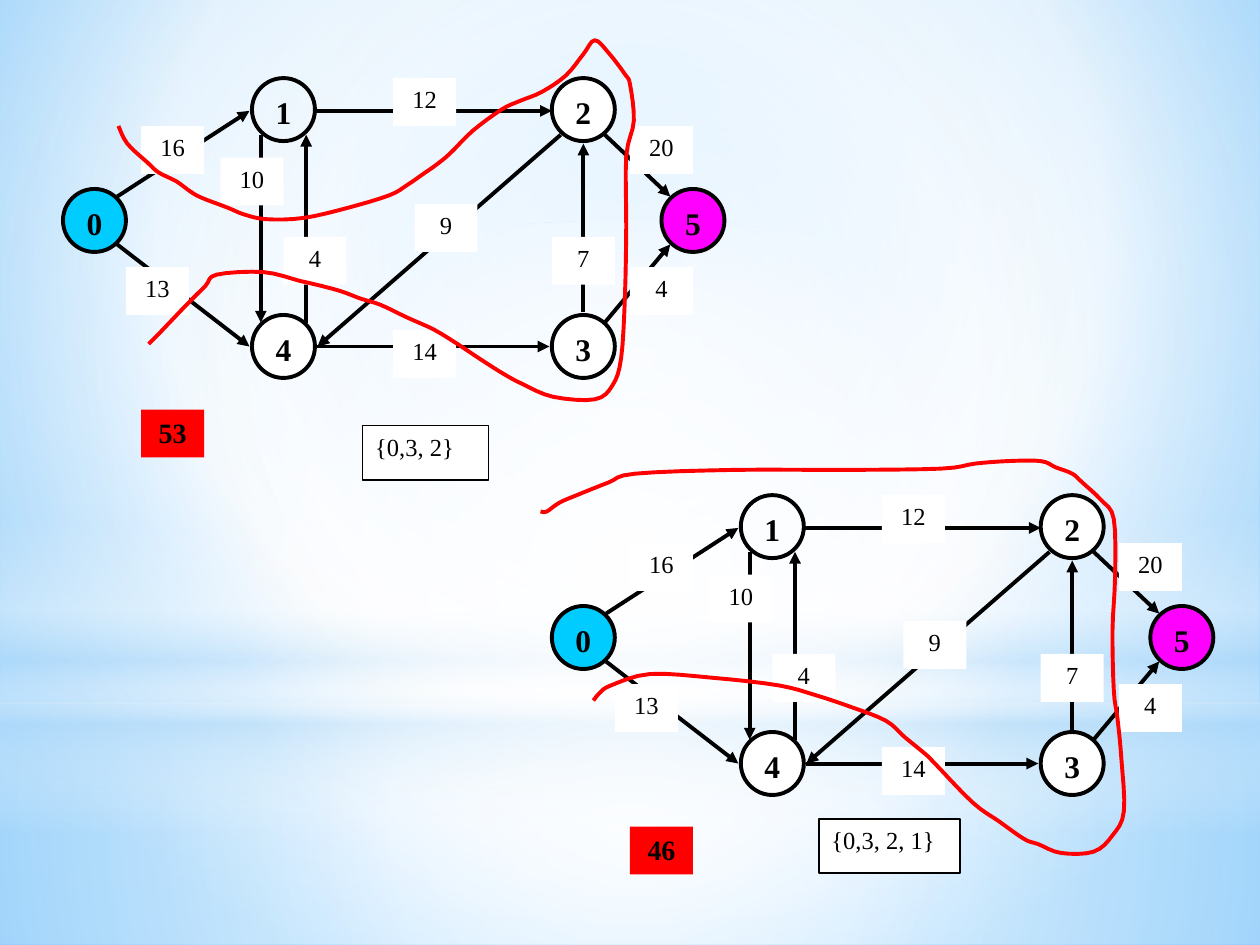
from lxml import etree
from pptx import Presentation
from pptx.dml.color import RGBColor
from pptx.enum import shapes, text
from pptx.oxml import parse_xml
from pptx.oxml.ns import nsdecls, qn
from pptx.util import Inches, Pt

COLORS = {"ink": "000000", "paper": "FFFFFF", "source": "00CCFF", "sink": "FF00FF",
          "cut": "FF0000", "sky": "B4DCFA", "sky_mid": "9ED5FF", "sky_edge": "5BB9FF"}
FORMATS = {"node": {"size": Pt(18), "bold": True},
           "label": {"size": Pt(14), "bold": False},
           "total": {"size": Pt(16), "bold": True}}
OVAL, RECT = shapes.MSO_SHAPE.OVAL, shapes.MSO_SHAPE.RECTANGLE
CENTER, LEFT = text.PP_ALIGN.CENTER, text.PP_ALIGN.LEFT

# Positions are relative to a graph's own origin.
NODES = [("1", 2, 0.62, None), ("4", 2, 2.5, "paper"), ("3", 4.38, 2.5, "paper"),
         ("2", 4.38, 0.62, "paper"), ("0", 0.5, 1.5, "source"), ("5", 5.25, 1.5, "sink")]
EDGES = [(2.5, 0.88, 4.38, 0.88), (2.52, 2.75, 4.36, 2.75), (0.93, 1.56, 1.98, 0.88),
         (0.93, 1.94, 1.98, 2.75), (2.07, 1.07, 2.07, 2.56), (2.43, 2.56, 2.43, 1.07),
         (4.45, 1.07, 2.52, 2.75), (4.63, 2.48, 4.63, 1.14), (4.8, 1.07, 5.32, 1.56),
         (4.8, 2.56, 5.32, 1.94)]
CAPACITIES = [("16", 1.12, 1), ("12", 3.12, 0.62), ("14", 3.12, 2.62), ("13", 1, 2.12),
              ("9", 3.29, 1.62), ("4", 2.25, 1.88), ("10", 1.75, 1.25), ("4", 5, 2.12),
              ("7", 4.38, 1.88), ("20", 5, 1)]

# Cut curves, in slide inches.
CUT_53 = [(0.94, 1), (1.01, 1.14), (1.17, 1.29), (1.26, 1.37), (1.4, 1.44), (1.51, 1.52),
          (1.6, 1.57), (1.81, 1.65), (1.93, 1.7), (2.11, 1.74), (2.41, 1.73), (2.76, 1.65),
          (3.09, 1.55), (3.23, 1.47), (3.36, 1.38), (3.46, 1.31), (3.57, 1.22), (3.75, 1.04),
          (3.98, 0.87), (4.13, 0.8), (4.3, 0.73), (4.49, 0.6), (4.63, 0.43), (4.72, 0.32),
          (4.83, 0.42), (4.96, 0.59), (5, 0.67), (5.03, 0.96), (4.97, 1.24), (4.97, 1.8),
          (4.96, 2.34), (4.93, 2.84), (4.86, 3.06), (4.72, 3.17), (4.39, 3.15), (4.15, 3.05),
          (4, 2.97), (3.81, 2.85), (3.66, 2.75), (3.45, 2.62), (3.23, 2.52), (3.02, 2.42),
          (2.86, 2.37), (2.7, 2.31), (2.47, 2.25), (2.38, 2.23), (2.09, 2.16), (1.72, 2.18),
          (1.63, 2.27), (1.48, 2.42), (1.27, 2.64), (1.18, 2.73)]
CUT_46 = [(4.71, 5.56), (4.76, 5.5), (4.85, 5.44), (5.16, 5.35), (5.66, 5.38), (6.18, 5.44),
          (6.48, 5.52), (6.75, 5.61), (7.03, 5.72), (7.18, 5.85), (7.35, 5.99), (7.42, 6.06),
          (7.72, 6.37), (7.93, 6.52), (8.13, 6.66), (8.24, 6.7), (8.42, 6.77), (8.68, 6.76),
          (8.83, 6.63), (8.92, 6.44), (8.9, 6.02), (8.87, 5.71), (8.84, 5.48), (8.83, 5),
          (8.85, 4.58), (8.84, 4.12), (8.74, 3.97), (8.59, 3.83), (8.51, 3.76), (8.38, 3.71),
          (8.26, 3.66), (8, 3.66), (7.74, 3.68), (7.47, 3.72), (6.7, 3.73), (5.83, 3.73),
          (5.04, 3.76), (4.83, 3.83), (4.58, 3.93), (4.44, 3.99), (4.34, 4.06), (4.29, 4.06)]


def rgb(name):
    return RGBColor.from_string(COLORS[name])


def gradient(stops, center=None):
    """Gradient of (position, colour, opacity); round about center, else top to bottom."""
    marks = "".join(
        f'<a:gs pos="{pos * 1000}"><a:srgbClr val="{COLORS[color]}">'
        f'<a:alpha val="{alpha * 1000}"/></a:srgbClr></a:gs>' for pos, color, alpha in stops)
    if center:
        sides = " ".join(f'{k}="{v * 1000}"' for k, v in zip("ltrb", center))
        way = f'<a:path path="circle"><a:fillToRect {sides}/></a:path>'
    else:
        way = '<a:lin ang="5400000" scaled="0"/>'
    return parse_xml(f'<a:gradFill {nsdecls("a")} rotWithShape="1">'
                     f'<a:gsLst>{marks}</a:gsLst>{way}</a:gradFill>')


def smooth(points, steps=4):
    """Points of a Catmull-Rom curve through the given points."""
    padded = [points[0], *points, points[-1]]
    for a, b, c, d in zip(padded, padded[1:], padded[2:], padded[3:]):
        for t in (i / steps for i in range(1, steps + 1)):
            yield tuple((2 * q + (r - p) * t + (2 * p - 5 * q + 4 * r - s) * t ** 2
                         + (3 * q - p - 3 * r + s) * t ** 3) / 2
                        for p, q, r, s in zip(a, b, c, d))


class Board:
    """The slide, its drawing style and the shapes being added to."""

    def __init__(self, slide, font="Times New Roman", width=2.25):
        self.slide, self.font, self.width = slide, font, width
        self.shapes = slide.shapes

    def background(self, stops, center):
        self.slide.background.fill.solid()
        solid = self.slide._element.cSld.find(".//" + qn("a:solidFill"))
        solid.getparent().replace(solid, gradient(stops, center))

    def stroke(self, line, color="ink", width=None):
        line.color.rgb = rgb(color)
        line.width = Pt(width or self.width)

    def shape(self, kind, x, y, w, h, fill=None, line=None):
        sp = self.shapes.add_shape(kind, *map(Inches, (x, y, w, h)))
        sp.shadow.inherit = False
        if fill:
            sp.fill.solid()
            sp.fill.fore_color.rgb = rgb(fill)
        else:
            sp.fill.background()
        if line:
            self.stroke(sp.line, width=line)
        else:
            sp.line.fill.background()
        return sp

    def glow(self, kind, box, stops, center=None):
        sp = self.shape(kind, *box)
        old = sp._element.spPr.find(qn("a:noFill"))
        sp._element.spPr.replace(old, gradient(stops, center))

    def put_text(self, sp, words, style, align=CENTER):
        tf = sp.text_frame
        tf.vertical_anchor = text.MSO_ANCHOR.TOP
        p = tf.paragraphs[0]
        p.alignment = align
        r = p.add_run()
        r.text = words
        for key, value in {"name": self.font, **FORMATS[style]}.items():
            setattr(r.font, key, value)
        r.font.color.rgb = rgb("ink")

    def node(self, name, x, y, fill):
        self.put_text(self.shape(OVAL, x, y, 0.5, 0.5, fill, self.width), name, "node")

    def label(self, words, x, y, fill="paper", style="label"):
        self.put_text(self.shape(RECT, x, y, 0.5, 0.38, fill), words, style)

    def set_box(self, words, x, y, w):
        self.put_text(self.shape(RECT, x, y, w, 0.43, "paper", 0.75), words, "label", LEFT)

    def arrow(self, *ends):
        c = self.shapes.add_connector(shapes.MSO_CONNECTOR.STRAIGHT, *map(Inches, ends))
        self.stroke(c.line)
        sppr = c._element.spPr
        etree.SubElement(sppr.get_or_add_ln(), qn("a:tailEnd"), type="triangle")
        etree.SubElement(sppr, qn("a:effectLst"))

    def curve(self, points):
        fb = self.shapes.build_freeform(*map(Inches, points[0]))
        fb.add_line_segments([(Inches(x), Inches(y)) for x, y in smooth(points)], close=False)
        sp = fb.convert_to_shape()
        sp.shadow.inherit = False
        sp.fill.background()
        self.stroke(sp.line, "cut")

    def graph(self, dx, dy, total, members, member_box, cut):
        self.shapes = self.slide.shapes.add_group_shape().shapes
        for name, x, y, fill in NODES:
            self.node(name, x + dx, y + dy, fill)
        for x1, y1, x2, y2 in EDGES:
            self.arrow(x1 + dx, y1 + dy, x2 + dx, y2 + dy)
        for words, x, y in CAPACITIES:
            self.label(words, x + dx, y + dy)
        self.label(total, 1.12 + dx, 3.25 + dy, "cut", "total")
        self.set_box(members, *member_box)
        self.curve(cut)
        self.shapes = self.slide.shapes


def main():
    prs = Presentation()
    prs.slide_width, prs.slide_height = Inches(10), Inches(7.5)
    board = Board(prs.slides.add_slide(prs.slide_layouts[6]))
    middle = (50, 50, 50, 50)
    board.background([(0, "sky_mid", 100), (60, "paper", 100), (100, "sky_edge", 100)],
                     (20, 10, 20, 60))
    board.glow(RECT, (0, 5.58, 10, 1.92),
               [(0, "paper", 91), (37, "paper", 76), (100, "sky", 79)], middle)
    board.glow(RECT, (0, 0, 10, 5.58),
               [(0, "paper", 89), (48, "paper", 62), (100, "sky", 79)], middle)
    board.glow(RECT, (0, 4.12, 10, 2.5),
               [(0, "paper", 0), (29, "paper", 30), (45, "sky", 40), (55, "paper", 26),
                (65, "sky", 60), (100, "paper", 0)])
    board.glow(OVAL, (0, 1.75, 10, 5.58), [(0, "paper", 100), (56, "paper", 0)], middle)
    board.graph(0, 0, "53", "{0,3, 2}", (2.88, 3.38, 1), CUT_53)
    board.graph(3.88, 3.31, "46", "{0,3, 2, 1}", (6.5, 6.5, 1.12), CUT_46)
    prs.save("out.pptx")


if __name__ == "__main__":
    main()
